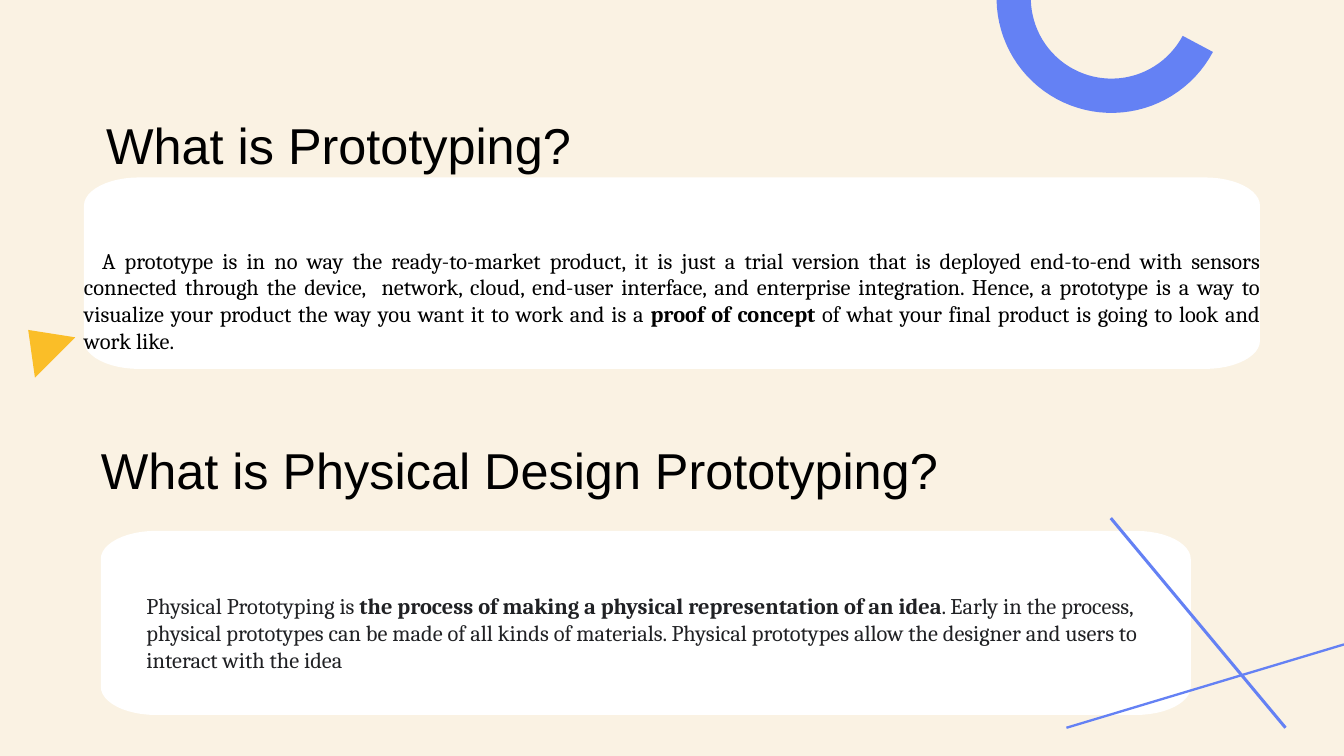
"""Build a slide that defines prototyping and physical design prototyping."""
from math import cos, radians, sin

from lxml.etree import SubElement
from pptx import Presentation
from pptx.dml.color import RGBColor
from pptx.enum.shapes import MSO_CONNECTOR
from pptx.enum.text import MSO_ANCHOR, PP_ALIGN
from pptx.oxml.ns import qn
from pptx.util import Inches, Pt

CREAM = RGBColor(0xFA, 0xF2, 0xE3)
WHITE = RGBColor(0xFF, 0xFF, 0xFF)
BLUE = RGBColor(0x64, 0x81, 0xF4)
YELLOW = RGBColor(0xFA, 0xBE, 0x28)
BLACK = RGBColor(0, 0, 0)
CHARCOAL = RGBColor(0x20, 0x21, 0x24)

HEADINGS = [
    ("What is Prototyping?", (1.58, 1.68, 10.72, 0.92)),
    ("What is Physical Design Prototyping?", (1.5, 6.52, 14.58, 0.92)),
]
PROTOTYPE_CARD = (1.25, 2.64, 17.5, 2.85)
PHYSICAL_CARD = (1.5, 7.9, 16.22, 2.74)
PHYSICAL_BODY = (2.08, 8.76, 15.25, 1.31)
PROTOTYPE_TEXT = [
    ("A prototype is in no way the ready-to-market product, it is just a trial "
     "version that is deployed end-to-end with sensors connected through the device,  "
     "network, cloud, end-user interface, and enterprise integration. Hence, a "
     "prototype is a way to visualize your product the way you want it to work and is a",
     False),
    (" proof of concept ", True),
    ("of what your final product is going to look and work like.", False),
]
PHYSICAL_TEXT = [
    ("Physical Prototyping is ", False),
    ("the process of making a physical representation of an idea", True),
    (". Early in the process, physical prototypes can be made of all kinds of "
     "materials. Physical prototypes allow the designer and users to interact with "
     "the idea", False),
]
CROSSING_LINES = [
    ((15.87, 10.83), (20, 9.59), 2.5),
    ((16.53, 7.71), (19.13, 10.83), 3.25),
]
POINTER = [(0.42, 4.91), (1.12, 5.02), (0.52, 5.62)]
RING_CENTER, RING_OUTER, RING_INNER = (16.54, -0.03), 1.71, 1.2
RING_START, RING_END = 28, 179
CORNER = (0.82, 0.42)


def arc(center, radii, start, end, steps):
    angles = [radians(start + (end - start) * i / steps) for i in range(steps + 1)]
    return [(center[0] + radii[0] * cos(a), center[1] + radii[1] * sin(a)) for a in angles]


def card_outline(left, top, width, height):
    rx, ry = CORNER
    right, bottom = left + width - rx, top + height - ry
    centers = [(right, bottom), (left + rx, bottom), (left + rx, top + ry), (right, top + ry)]
    return [point for i, center in enumerate(centers)
            for point in arc(center, CORNER, 90 * i, 90 * i + 90, 12)]


def add_outline(slide, points, color):
    start, *rest = [(Inches(x), Inches(y)) for x, y in points]
    builder = slide.shapes.build_freeform(*start)
    builder.add_line_segments(rest, close=True)
    outline = builder.convert_to_shape()
    outline.shadow.inherit = False
    outline.fill.solid()
    outline.fill.fore_color.rgb = color
    outline.line.fill.background()
    return outline


def write(shape, runs, *, font, size, color, align=PP_ALIGN.LEFT, insets=(0, 0), indent=0):
    frame = shape.text_frame
    frame.word_wrap = True
    frame.vertical_anchor = MSO_ANCHOR.TOP
    side, top = insets
    frame.margin_left = frame.margin_right = Inches(side)
    frame.margin_top, frame.margin_bottom = Inches(top), 0
    paragraph = frame.paragraphs[0]
    paragraph.alignment = align
    if indent:
        properties = paragraph._p.get_or_add_pPr()
        properties.set("marL", "0")
        properties.set("indent", str(Inches(indent)))
    for text, bold in runs:
        run = paragraph.add_run()
        run.text = text
        run.font.name, run.font.size, run.font.bold = font, Pt(size), bold
        run.font.color.rgb = color


def add_line(slide, start, end, width):
    line = slide.shapes.add_connector(
        MSO_CONNECTOR.STRAIGHT, *[Inches(v) for v in (*start, *end)])
    line.line.color.rgb = BLUE
    line.line.width = Pt(width)
    SubElement(line._element.spPr, qn("a:effectLst"))


def main():
    deck = Presentation()
    deck.slide_width, deck.slide_height = Inches(20), Inches(11.25)
    slide = deck.slides.add_slide(deck.slide_layouts[6])
    slide.background.fill.solid()
    slide.background.fill.fore_color.rgb = CREAM

    prototype_card = add_outline(slide, card_outline(*PROTOTYPE_CARD), WHITE)
    write(prototype_card, PROTOTYPE_TEXT, font="Cambria", size=24, color=BLACK,
          align=PP_ALIGN.JUSTIFY, insets=(0, 1.03), indent=0.27)
    add_outline(slide, card_outline(*PHYSICAL_CARD), WHITE)
    for start, end, width in CROSSING_LINES:
        add_line(slide, start, end, width)

    outer = arc(RING_CENTER, (RING_OUTER, RING_OUTER), RING_START, RING_END, 40)
    inner = arc(RING_CENTER, (RING_INNER, RING_INNER), RING_END, RING_START, 40)
    add_outline(slide, outer + inner, BLUE)
    add_outline(slide, POINTER, YELLOW)

    for heading, place in HEADINGS:
        box = slide.shapes.add_textbox(*map(Inches, place))
        write(box, [(heading, False)], font="Arial", size=54, color=BLACK, insets=(0, 0.02))
    body = slide.shapes.add_textbox(*map(Inches, PHYSICAL_BODY))
    write(body, PHYSICAL_TEXT, font="Cambria", size=24, color=CHARCOAL, insets=(0.1, 0.05))

    deck.save("out.pptx")


if __name__ == "__main__":
    main()
